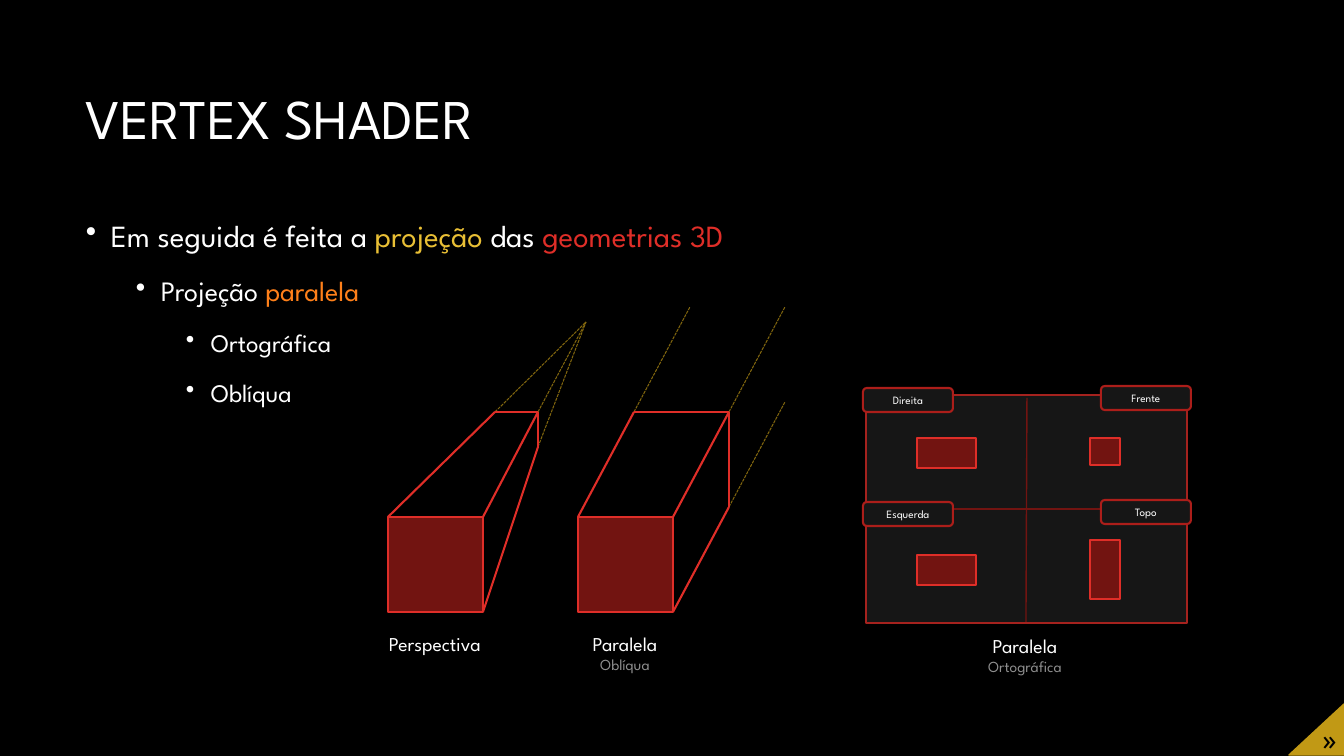
import pptx
import pptx.dml.color
import pptx.enum.dml
import pptx.enum.shapes
import pptx.enum.text
import pptx.oxml.ns
import pptx.util
from lxml import etree

# Content: all lengths in px, text as (words, colour) runs
TITLE = "VERTEX SHADER"
BULLETS = [
    (0, [("Em seguida é feita a ", "text"), ("projeção", "yellow"),
         (" das ", "text"), ("geometrias 3D", "red")]),
    (1, [("Projeção ", "text"), ("paralela", "orange")]),
    (2, [("Ortográfica", "text")]),
    (2, [("Oblíqua", "text")]),
]
# Caption: centre x, top, width, height, name, subtitle
CAPTIONS = [
    (435, 627, 132, 34, "Perspectiva", None),
    (625, 627, 100, 54, "Paralela", "Oblíqua"),
    (1025, 629, 108, 52, "Paralela", "Ortográfica"),
]
FRONT_SIDE, FRONT_TOP = 95, 517
DEPTH = (56, -105)
VANISHING_POINT = (586, 322)
PERSPECTIVE_LEFT, PERSPECTIVE_BACK = 388, [(495, 412), (538, 412), (538, 447)]
OBLIQUE_LEFT = 578

PANEL = (866, 395, 321, 228)
DIVIDERS = [((1026, 622), (1027, 398)), ((866, 509), (1187, 509))]
TAG_SIZE = (90, 24)
# View: name, tag position, projected rectangle
VIEWS = [
    ("Direita", (863, 388), (917, 438, 59, 30)),
    ("Esquerda", (863, 502), (917, 555, 59, 30)),
    ("Topo", (1101, 500), (1090, 540, 30, 59)),
    ("Frente", (1101, 386), (1090, 438, 30, 27)),
]
CORNER = [(1289, 755), (1344, 704), (1344, 755)]
CORNER_MARK = ("»", (1309, 722, 34, 34))

THEME = {
    "font": "League Spartan", "mark_font": "Noto Sans Mono",
    "colours": {
        "background": "000000", "text": "FFFFFF", "muted": "8F8F8F",
        "yellow": "E9BF35", "red": "DF2E28", "orange": "FE801A",
        "face": "721411", "ray": "81660E", "panel": "161616",
        "panel_line": "A5221E", "tag_line": "AC1E1A", "gold": "C19915",
    },
    "sizes": {"title": 40, "bullets": (22, 20, 18), "caption": 14,
              "subtitle": 11, "tag": 8, "mark": 20},
}
SIZES = THEME["sizes"]
SCALE = 914400 / 100.8
SHAPES = pptx.enum.shapes.MSO_SHAPE
CENTER = pptx.enum.text.PP_ALIGN.CENTER
MIDDLE = pptx.enum.text.MSO_ANCHOR.MIDDLE


def px(length):
    return pptx.util.Emu(round(length * SCALE))


def colour(name):
    return pptx.dml.color.RGBColor.from_string(THEME["colours"][name])


def apply(target, values):
    for name, value in values.items():
        setattr(target, name, value)


def add_run(paragraph, words, size, colour_name, font="font"):
    run = paragraph.add_run()
    run.text = words
    apply(run.font, {"name": THEME[font], "size": pptx.util.Pt(size)})
    run.font.color.rgb = colour(colour_name)


def indent(paragraph, left, hanging=0, bullet=None):
    properties = paragraph._p.get_or_add_pPr()
    properties.set("marL", str(px(left)))
    properties.set("indent", str(px(-hanging)))
    if bullet:
        tag = pptx.oxml.ns.qn("a:buChar")
        etree.SubElement(properties, tag).set("char", bullet)


def add_text(box, **frame_values):
    frame = slide.shapes.add_textbox(*map(px, box)).text_frame
    apply(frame, {"word_wrap": True, **frame_values})
    return frame


def paint(shape, fill, line, width):
    shape.shadow.inherit = False
    shape.fill.solid()
    shape.fill.fore_color.rgb = colour(fill)
    shape.line.color.rgb = colour(line)
    shape.line.width = pptx.util.Pt(width)


def add_box(box, fill, line, width, kind=SHAPES.RECTANGLE):
    shape = slide.shapes.add_shape(kind, *map(px, box))
    paint(shape, fill, line, width)
    return shape


def add_line(start, end, line, width, dashed=False):
    connector = slide.shapes.add_connector(
        pptx.enum.shapes.MSO_CONNECTOR.STRAIGHT, *map(px, start + end))
    connector.line.color.rgb = colour(line)
    connector.line.width = pptx.util.Pt(width)
    if dashed:
        connector.line.dash_style = pptx.enum.dml.MSO_LINE.SQUARE_DOT
    properties = connector._element.spPr
    etree.SubElement(properties, pptx.oxml.ns.qn("a:effectLst"))


def shift(point):
    return point[0] + DEPTH[0], point[1] + DEPTH[1]


def front_corners(left):
    right, bottom = left + FRONT_SIDE, FRONT_TOP + FRONT_SIDE
    return [(left, FRONT_TOP), (right, FRONT_TOP), (right, bottom)]


def add_solid(left, back, ray_ends):
    for start, end in zip(back, ray_ends):
        add_line(start, end, "ray", 0.75, dashed=True)
    edges = list(zip(front_corners(left), back)) + list(zip(back, back[1:]))
    for start, end in edges:
        add_line(start, end, "red", 1.5)
    add_box((left, FRONT_TOP, FRONT_SIDE, FRONT_SIDE), "face", "red", 1.5)


presentation = pptx.Presentation()
apply(presentation, {"slide_width": px(1344), "slide_height": px(756)})
slide = presentation.slides.add_slide(presentation.slide_layouts[6])
slide.background.fill.solid()
slide.background.fill.fore_color.rgb = colour("background")

# Title and bullets
heading = add_text((76, 50, 1192, 142), vertical_anchor=MIDDLE).paragraphs[0]
heading.line_spacing = 0.9
add_run(heading, TITLE, SIZES["title"], "text")

body = add_text((76, 208, 1192, 473))
for index, (level, runs) in enumerate(BULLETS):
    paragraph = body.add_paragraph() if index else body.paragraphs[0]
    indent(paragraph, 25 + 50 * level, 25, "•")
    apply(paragraph, {"level": level, "line_spacing": 1.1,
                      "space_before": pptx.util.Pt(12 if index else 0)})
    for words, colour_name in runs:
        add_run(paragraph, words, SIZES["bullets"][level], colour_name)

# Projected solids
oblique_back = [shift(point) for point in front_corners(OBLIQUE_LEFT)]
add_solid(OBLIQUE_LEFT, oblique_back, [shift(point) for point in oblique_back])
add_solid(PERSPECTIVE_LEFT, PERSPECTIVE_BACK, [VANISHING_POINT] * 3)

# Orthographic views
add_box(PANEL, "panel", "panel_line", 1)
for start, end in DIVIDERS:
    add_line(start, end, "face", 1)
for name, position, projection in VIEWS:
    tag = add_box(position + TAG_SIZE, "panel", "tag_line", 1.5,
                  SHAPES.ROUNDED_RECTANGLE)
    apply(tag.text_frame, {"margin_left": 0, "margin_right": 0,
                           "margin_top": px(4), "margin_bottom": px(4),
                           "word_wrap": True, "vertical_anchor": MIDDLE})
    paragraph = tag.text_frame.paragraphs[0]
    paragraph.alignment = CENTER
    add_run(paragraph, name, SIZES["tag"], "text")
    add_box(projection, "face", "red", 1)

# Captions
for center, top, width, height, name, subtitle in CAPTIONS:
    frame = add_text((center - width / 2, top, width, height), word_wrap=False,
                     auto_size=pptx.enum.text.MSO_AUTO_SIZE.SHAPE_TO_FIT_TEXT)
    paragraph = frame.paragraphs[0]
    paragraph.alignment = CENTER
    add_run(paragraph, name, SIZES["caption"], "text")
    if subtitle:
        paragraph.add_line_break()
        add_run(paragraph, subtitle, SIZES["subtitle"], "muted")

# Corner marker
builder = slide.shapes.build_freeform(*CORNER[0], scale=SCALE)
builder.add_line_segments(CORNER[1:], close=True)
paint(builder.convert_to_shape(), "gold", "gold", 1)
mark, mark_box = CORNER_MARK
frame = add_text(mark_box, vertical_anchor=MIDDLE, margin_left=0,
                 margin_right=0, margin_top=0, margin_bottom=0)
paragraph = frame.paragraphs[0]
indent(paragraph, 7)
paragraph.alignment = CENTER
add_run(paragraph, mark, SIZES["mark"], "background", "mark_font")

presentation.save("out.pptx")
